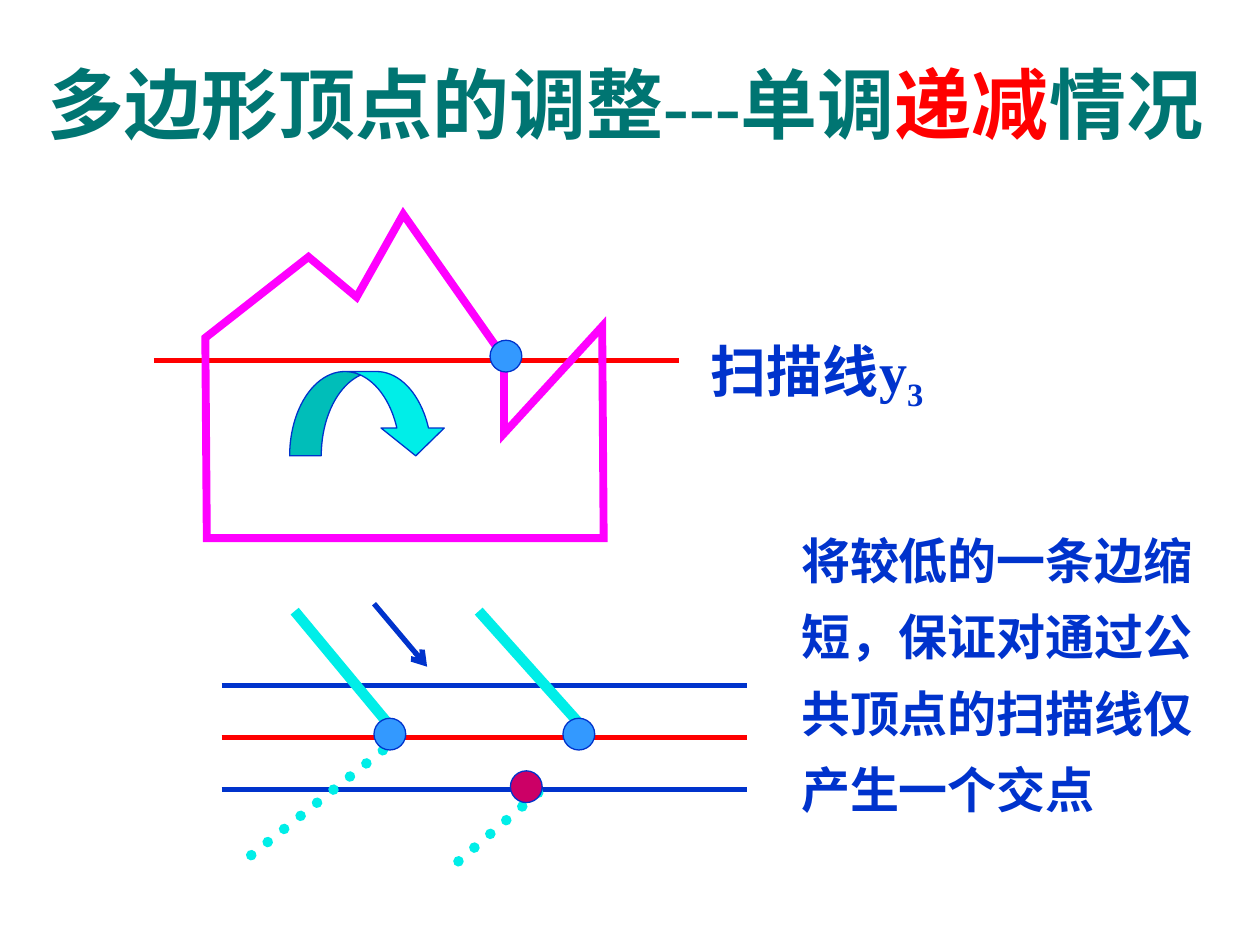
from lxml.etree import SubElement
from pptx import Presentation
from pptx.dml.color import RGBColor
from pptx.enum.dml import MSO_LINE_DASH_STYLE as Dash
from pptx.enum.shapes import MSO_CONNECTOR as Connector, MSO_SHAPE as Shape
from pptx.enum.text import MSO_ANCHOR as Anchor, PP_ALIGN as Align
from pptx.oxml.ns import qn
from pptx.util import Cm, Pt

COLORS = {"teal": "007572", "red": "FF0000", "blue": "0033CC", "magenta": "FF00FF",
          "cyan": "00EEE8", "sky": "3399FF", "crimson": "CC0066"}

# Content: text runs are (text, font, colour, baseline), lengths are in cm
TITLE = [("多边形顶点的调整---单调", "Times New Roman", "teal", 0),
         ("递减", "Times New Roman", "red", 0),
         ("情况", "Times New Roman", "teal", 0)]
SCAN_LABEL = [("扫描线", "Lato", "blue", 0),
              ("y", "Times New Roman", "blue", 0),
              ("3", "Times New Roman", "blue", -25000)]
NOTE = [("将较低的一条边缩短，保证对通过公共顶点的扫描线仅产生一个交点", "Arial", "blue", 0)]

POLYGON = [(4.14, 6.81), (6.22, 5.18), (7.19, 5.99), (8.13, 4.32), (10.16, 7.21),
           (10.16, 8.74), (12.14, 6.58), (12.17, 10.85), (4.17, 10.85)]
SCAN_LINE_COLORS = ["blue", "red", "blue"]
SCAN_LEFT, SCAN_TOP, SCAN_STEP, SCAN_LENGTH = 4.47, 13.82, 1.05, 10.58
UPPER_EDGES = [((5.94, 12.32), (8.05, 14.86)), ((9.65, 12.32), (11.79, 14.71))]
LOWER_EDGES = [((8.05, 14.86), (4.8, 17.45)), ((10.85, 15.98), (9.14, 17.45))]
VERTICES = [(7.86, 14.8, "sky"), (11.67, 14.8, "sky"), (10.61, 15.86, "crimson")]
VERTEX_SIZE = 0.64

deck = Presentation()
deck.slide_width, deck.slide_height = Cm(25.4), Cm(19.05)
page = deck.slides.add_slide(deck.slide_layouts[6])


def color(name):
    return RGBColor.from_string(COLORS[name])


def add_text(runs, place, size, spacing=1.0, align=Align.LEFT, anchor=Anchor.TOP, inset=True):
    box = page.shapes.add_textbox(*map(Cm, place))
    frame = box.text_frame
    frame.word_wrap = True
    frame.vertical_anchor = anchor
    if not inset:
        frame.margin_left = frame.margin_right = frame.margin_top = frame.margin_bottom = 0
    para = frame.paragraphs[0]
    para.alignment, para.line_spacing = align, spacing
    for text, font, tint, baseline in runs:
        span = para.add_run()
        span.text = text
        span.font.name, span.font.size, span.font.bold = font, Pt(size), True
        span.font.color.rgb = color(tint)
        if baseline:
            span.font._element.set("baseline", str(baseline))


def add_line(start, end, tint, width=3):
    line = page.shapes.add_connector(Connector.STRAIGHT, *map(Cm, start + end))
    line.line.color.rgb, line.line.width = color(tint), Pt(width)
    SubElement(line._element.spPr, qn("a:effectLst"))
    return line


def paint(shape, fill, outline="blue", width=0.75):
    shape.shadow.inherit = False
    if fill:
        shape.fill.solid()
        shape.fill.fore_color.rgb = color(fill)
    else:
        shape.fill.background()
    shape.line.color.rgb, shape.line.width = color(outline), Pt(width)


def add_vertex(x, y, fill):
    half = VERTEX_SIZE / 2
    paint(page.shapes.add_shape(Shape.OVAL, Cm(x - half), Cm(y - half),
                                Cm(VERTEX_SIZE), Cm(VERTEX_SIZE)), fill)


# Title
add_text(TITLE, (0.64, -0.48, 23.93, 4.72), 44, 1.2, Align.CENTER, Anchor.MIDDLE)

# Polygon crossed by the scan line
add_line((3.1, 7.26), (13.69, 7.26), "red")
corners = [(Cm(x), Cm(y)) for x, y in POLYGON]
builder = page.shapes.build_freeform(*corners[0])
builder.add_line_segments(corners[1:], close=True)
polygon = builder.convert_to_shape()
paint(polygon, None, "magenta", 4.5)
SubElement(polygon.line._get_or_add_ln(), qn("a:miter"), lim="800000")
add_vertex(10.2, 7.18, "sky")
add_text(SCAN_LABEL, (14.33, 6.78, 6.55, 1.55), 32, anchor=Anchor.MIDDLE, inset=False)

# Curved direction arrow
turn = page.shapes.add_shape(Shape.CURVED_DOWN_ARROW, Cm(5.84), Cm(7.49), Cm(3.18), Cm(1.7))
for index, ratio in enumerate((0.375, 0.75, 0.33)):
    turn.adjustments[index] = ratio
paint(turn, "cyan")

# Shortened edge between three scan lines
for row, tint in enumerate(SCAN_LINE_COLORS):
    y = SCAN_TOP + row * SCAN_STEP
    add_line((SCAN_LEFT, y), (SCAN_LEFT + SCAN_LENGTH, y), tint)
for start, end in UPPER_EDGES:
    add_line(start, end, "cyan", 6)
for start, end in LOWER_EDGES:
    edge = add_line(start, end, "cyan", 6).line
    edge.dash_style = Dash.ROUND_DOT
    edge._get_or_add_ln().set("cap", "rnd")
pointer = add_line((7.54, 12.17), (8.61, 13.44), "blue")
SubElement(pointer.line._get_or_add_ln(), qn("a:tailEnd"), type="arrow")
for vertex in VERTICES:
    add_vertex(*vertex)

# Explanation
add_text(NOTE, (15.9, 10.21, 8.46, 6.43), 28, 1.3)

deck.save("out.pptx")
